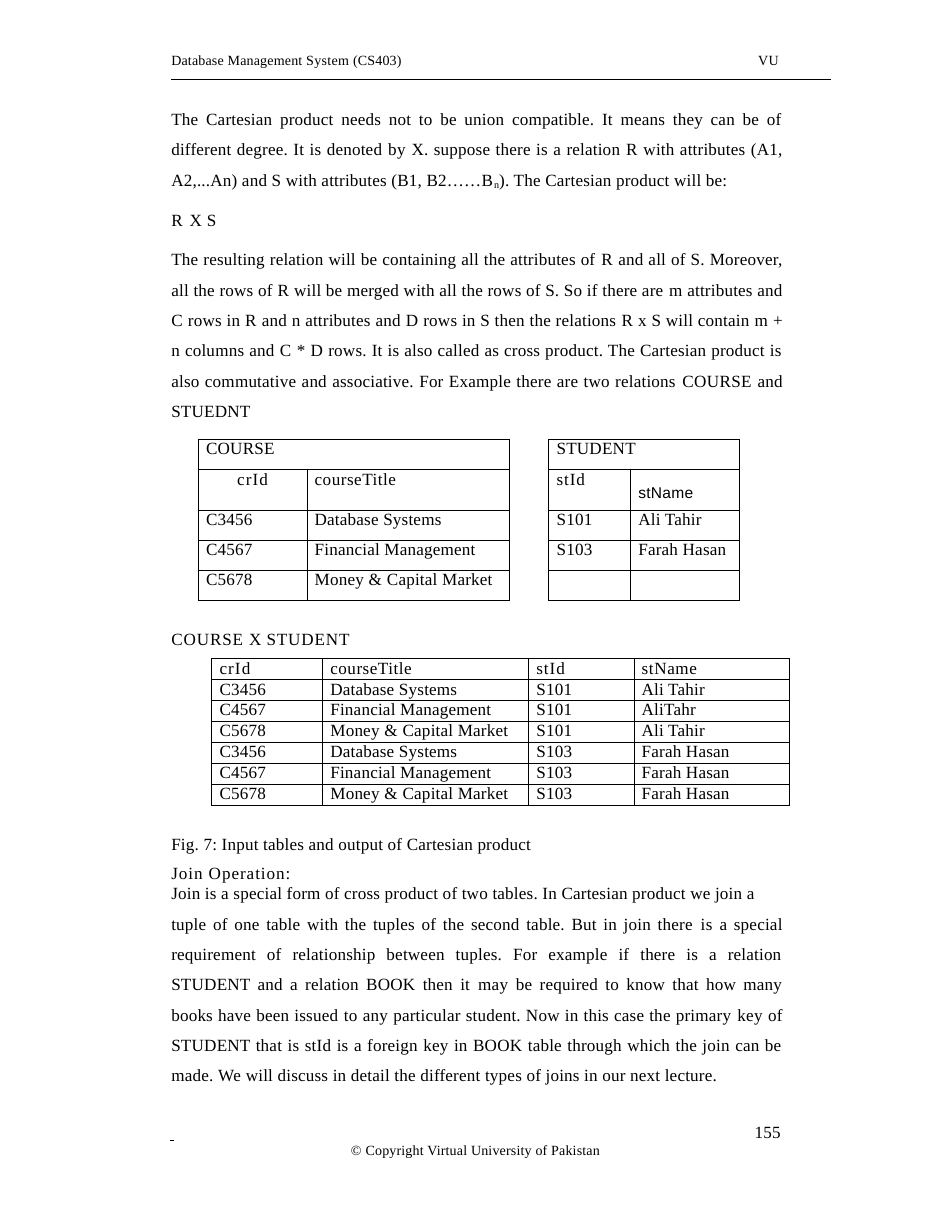
from collections import namedtuple
from dataclasses import dataclass

from lxml import etree
from pptx import Presentation
from pptx.dml.color import RGBColor
from pptx.enum.shapes import MSO_CONNECTOR
from pptx.enum.text import PP_ALIGN
from pptx.oxml.ns import qn
from pptx.util import Inches, Pt

CENTER, JUSTIFY, LEFT = PP_ALIGN.CENTER, PP_ALIGN.JUSTIFY, PP_ALIGN.LEFT
STRAIGHT = MSO_CONNECTOR.STRAIGHT
Box = namedtuple("Box", "left top width height")


@dataclass(frozen=True)
class Theme:
    ink: str = "000000"
    serif: str = "Times New Roman"
    sans: str = "Arial"
    body: float = 11
    small: float = 9
    label: float = 10
    subscript: float = 11.2
    rule: float = 0.94
    border: float = 0.5
    tracking: float = 0.1
    wide: float = 0.2
    leading: float = 1.48


THEME = Theme()
HEADING_TRACKING = {"crId": 0.7, "courseTitle": 0.3, "stId": 0.6, "stName": 0.4}
COURSES = [
    ("C3456", "Database Systems"),
    ("C4567", "Financial Management"),
    ("C5678", "Money ~& ~Capital Market"),
]
STUDENT_MATCHES = [
    ("S101", ("Ali Tahir", "AliTahr", "Ali Tahir")),
    ("S103", ("Farah Hasan",) * 3),
]
PRODUCT_INTRO = (
    "The Cartesian product needs not to be union compatible. It means they can be of "
    "different degree. It is denoted ~by ~X. suppose there is a relation ~R ~with attributes "
    "(A1, A2,...An) and S with attributes (B1, B2……B_n_). The Cartesian product will be:"
)
PRODUCT_RESULT = (
    "The resulting relation will be containing all the attributes of ~R ~and all of S. "
    "Moreover, all the rows of ~R ~will be merged with all the rows of S. So if there are "
    "~m ~attributes and ~C ~rows in ~R ~and n attributes and ~D ~rows in S then the relations "
    "~R ~x S will contain ~m ~+ n columns and ~C ~* ~D ~rows. It is also called as cross "
    "product. The Cartesian product is also commutative and associative. For Example there "
    "are two relations ~COURSE ~and STUEDNT"
)
JOIN_OPENING = (
    "Join is a special form of cross product of two tables. In Cartesian product we join a"
)
JOIN_DETAIL = (
    "tuple of one table with the tuples of the second table. But in join there ~is ~a special "
    "requirement of relationship between tuples. For example if there is a relation STUDENT "
    "and a relation BOOK then it ~may ~be required to know that how many books have been "
    "issued ~to ~any particular student. Now in this case the primary ~key ~of STUDENT that "
    "is stId is a foreign key in BOOK table through which the join can be made. ~We ~will "
    "discuss in detail the different types of joins in our next lecture."
)


def inches_box(*lengths):
    return Box(*(Inches(length) for length in lengths))


def add_run(paragraph, text, size=THEME.body, name=THEME.serif, tracking=THEME.tracking,
            underline=False, subscript=False):
    run = paragraph.add_run()
    run.text = text
    formats = {"size": Pt(size), "name": name, "underline": underline}
    for attribute, value in formats.items():
        setattr(run.font, attribute, value)
    run.font.color.rgb = RGBColor.from_string(THEME.ink)
    properties = run.font._element
    properties.set("spc", str(round(tracking * 100)))
    if subscript:
        properties.set("baseline", "-11000")


def write_marked_text(paragraph, text, tracking=THEME.tracking, size=THEME.body, **formats):
    for part_index, part in enumerate(text.split("_")):
        subscript = part_index % 2 == 1
        for piece_index, piece in enumerate(part.split("~")):
            if piece:
                add_run(paragraph, piece, THEME.subscript if subscript else size,
                        tracking=THEME.wide if piece_index % 2 else tracking,
                        subscript=subscript, **formats)


def format_paragraph(paragraph, **formats):
    for attribute, value in formats.items():
        setattr(paragraph, attribute, value)


def add_text_frame(slide, box):
    frame = slide.shapes.add_textbox(*box).text_frame
    frame.word_wrap = True
    for side in ("left", "top", "right", "bottom"):
        setattr(frame, f"margin_{side}", 0)
    return frame


def add_text(slide, box, entries):
    frame = add_text_frame(slide, box)
    for index, (text, paragraph_formats, run_formats) in enumerate(entries):
        paragraph = frame.add_paragraph() if index else frame.paragraphs[0]
        format_paragraph(paragraph, **paragraph_formats)
        write_marked_text(paragraph, text, **run_formats)


def add_header(slide, box):
    label = {"size": THEME.small}
    add_text(slide, box._replace(width=Inches(2.4), height=Inches(0.16)),
             [("Database Management ~System ~(CS403)", {}, label)])
    add_text(slide, Box(Inches(6.77), box.top, Inches(0.3), Inches(0.16)),
             [("VU", {}, {**label, "tracking": THEME.wide})])
    bottom = box.top + box.height
    rule = slide.shapes.add_connector(STRAIGHT, box.left, bottom, box.left + box.width, bottom)
    rule.line.color.rgb = RGBColor.from_string(THEME.ink)
    rule.line.width = Pt(THEME.rule)
    etree.SubElement(rule._element.spPr, qn("a:effectLst"))


def add_product_text(slide, box):
    spaced = {"alignment": JUSTIFY, "line_spacing": THEME.leading}
    add_text(slide, box, [
        (PRODUCT_INTRO, spaced, {}),
        ("R ~X ~S", {"alignment": JUSTIFY, "space_before": Pt(12.2)}, {"tracking": 0.8}),
        (PRODUCT_RESULT, {**spaced, "space_before": Pt(5.5)}, {}),
    ])


def add_join_text(slide, box):
    tight = {"alignment": JUSTIFY, "line_spacing": Pt(13)}
    add_text(slide, box, [
        ("Fig. 7: Input tables and output of Cartesian product", {"alignment": JUSTIFY}, {}),
        ("Join Operation:", {**tight, "space_before": Pt(5.7)}, {"tracking": 0.6}),
        (JOIN_OPENING, tight, {}),
        (JOIN_DETAIL, {"alignment": JUSTIFY, "line_spacing": THEME.leading}, {}),
    ])


def add_footer(slide, box):
    frame = add_text_frame(slide, box)
    number = frame.paragraphs[0]
    format_paragraph(number, alignment=CENTER, line_spacing=Pt(12.1))
    tabs = etree.SubElement(number._p.get_or_add_pPr(), qn("a:tabLst"))
    etree.SubElement(tabs, qn("a:tab"), pos=str(Inches(5.22)), algn="l")
    add_run(number, " \t", underline=True)
    add_run(number, "155")
    notice = frame.add_paragraph()
    format_paragraph(notice, alignment=CENTER, line_spacing=Pt(10.6))
    write_marked_text(notice, "~© ~Copyright Virtual University of Pakistan", size=THEME.small)


def style_cell(cell):
    cell.fill.background()
    properties = cell._tc.get_or_add_tcPr()
    for index, side in enumerate("LRTB"):
        line = etree.Element(qn(f"a:ln{side}"), w=str(Pt(THEME.border)))
        fill = etree.SubElement(line, qn("a:solidFill"))
        etree.SubElement(fill, qn("a:srgbClr"), val=THEME.ink)
        properties.insert(index, line)
    margins = {"margin_left": Inches(0.07), "margin_top": 0, "margin_right": 0,
               "margin_bottom": 0}
    for attribute, value in margins.items():
        setattr(cell, attribute, value)
    cell.text_frame.paragraphs[0]._p.get_or_add_endParaRPr().set("sz", str(THEME.body * 100))


def add_grid(slide, box, column_widths, rows, row_weights):
    table = slide.shapes.add_table(len(rows), len(column_widths), *box).table
    table.first_row = table.horz_banding = False
    for column, width in zip(table.columns, column_widths):
        column.width = Inches(width)
    for row, weight, texts in zip(table.rows, row_weights, rows):
        row.height = round(box.height * weight / sum(row_weights))
        for cell, text in zip(row.cells, texts):
            style_cell(cell)
            paragraph = cell.text_frame.paragraphs[0]
            paragraph.line_spacing = Pt(12.7 if text in HEADING_TRACKING else 12.4)
            write_marked_text(paragraph, text, HEADING_TRACKING.get(text, THEME.tracking))
    return table


def add_relation(slide, box, column_widths, title, rows):
    table = add_grid(slide, box, column_widths, [(title, ""), *rows], (27, 37, 27, 27, 27))
    table.cell(0, 0).merge(table.cell(0, 1))
    return table


def add_input_tables(slide, box):
    course = add_relation(slide, box._replace(width=Inches(2.78)), (0.97, 1.81), "COURSE",
                          [("crId", "courseTitle"), *COURSES])
    identifier = course.cell(1, 0)
    identifier.margin_left = 0
    identifier.text_frame.paragraphs[0].alignment = CENTER

    students = [(number, names[0]) for number, names in STUDENT_MATCHES]
    width = Inches(1.7)
    student_box = box._replace(left=box.left + box.width - width, width=width)
    student = add_relation(slide, student_box, (0.73, 0.97), "STUDENT",
                           [("stId", "stName"), *students, ("", "")])
    name = student.cell(1, 1)
    name.margin_top = Inches(0.14)
    paragraph = name.text_frame.paragraphs[0]
    format_paragraph(paragraph, alignment=LEFT, line_spacing=1.0)
    for attribute, value in {"name": THEME.sans, "size": Pt(THEME.label)}.items():
        setattr(paragraph.runs[0].font, attribute, value)
    paragraph.runs[0].font._element.set("spc", "20")


def add_product_table(slide, box):
    pairs = [(*course, number, name) for number, names in STUDENT_MATCHES
             for course, name in zip(COURSES, names)]
    rows = [tuple(HEADING_TRACKING), *pairs]
    add_grid(slide, box, (0.99, 1.84, 0.94, 1.39), rows, (1,) * len(rows))


def main():
    presentation = Presentation()
    presentation.slide_width, presentation.slide_height = Inches(8.5), Inches(11)
    slide = presentation.slides.add_slide(presentation.slide_layouts[6])
    add_header(slide, inches_box(1.53, 0.46, 5.89, 0.25))
    add_product_text(slide, inches_box(1.53, 0.88, 5.46, 2.88))
    add_input_tables(slide, inches_box(1.77, 3.92, 4.83, 1.44))
    add_text(slide, inches_box(1.53, 5.61, 1.9, 0.2),
             [("COURSE ~X ~STUDENT", {}, {"tracking": 0.55})])
    add_product_table(slide, inches_box(1.89, 5.88, 5.16, 1.31))
    add_join_text(slide, inches_box(1.53, 7.44, 5.46, 2.26))
    add_footer(slide, inches_box(1.5, 10.03, 5.49, 0.33))
    presentation.save("out.pptx")


if __name__ == "__main__":
    main()
